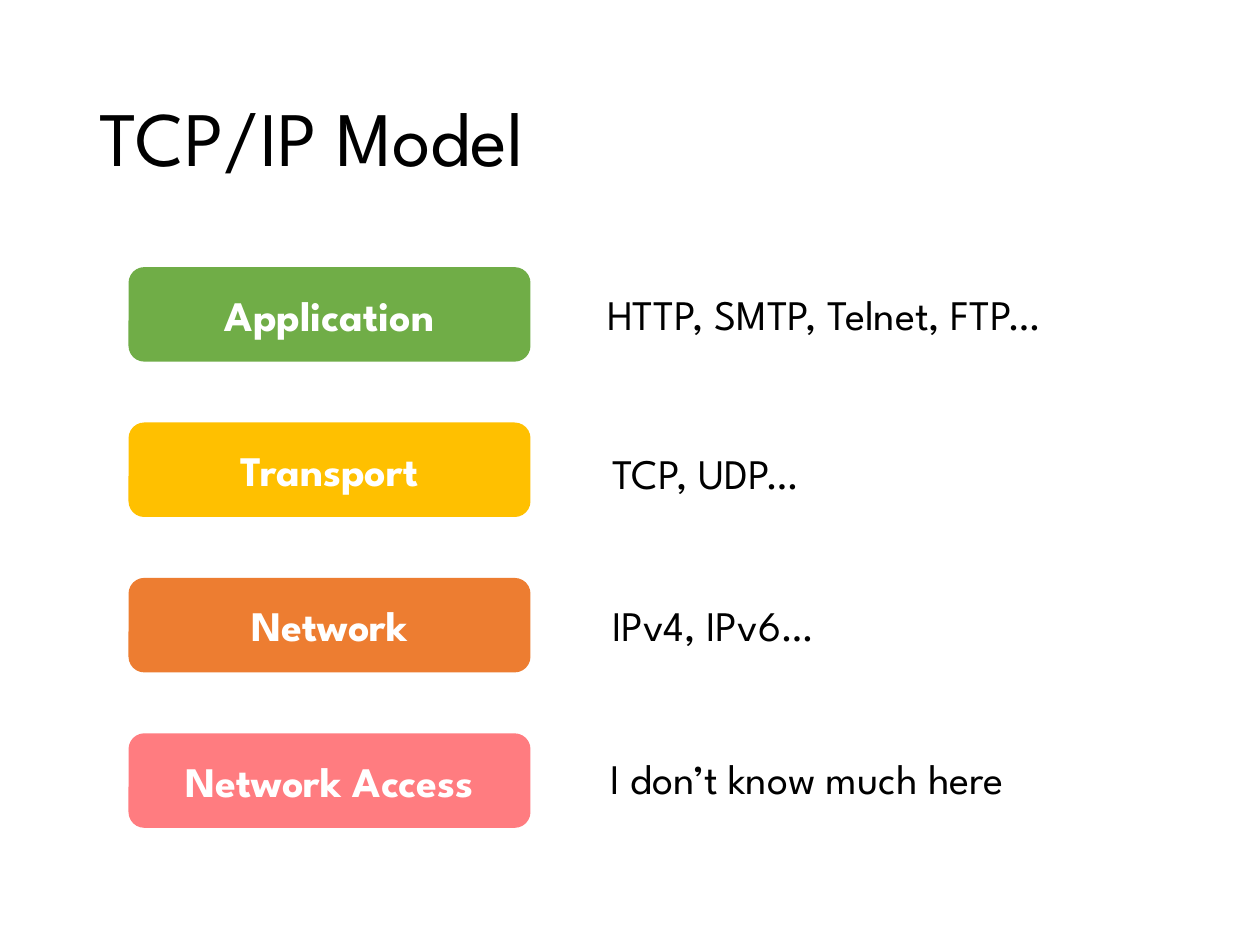
import pptx
import pptx.util
import pptx.dml.color
import pptx.enum.shapes
import pptx.enum.text

Inches = pptx.util.Inches
Pt = pptx.util.Pt
MIDDLE = pptx.enum.text.MSO_ANCHOR.MIDDLE
ALIGN = pptx.enum.text.PP_ALIGN
FONT = "League Spartan"
COLORS = {
    "text": "000000",
    "label": "FFFFFF",
    "application": "70AD47",
    "transport": "FFC000",
    "network": "ED7D31",
    "access": "FF7C80",
}


def rgb(name):
    return pptx.dml.color.RGBColor.from_string(COLORS[name])


def write(tf, text, size, color, align, bold=False):
    tf.vertical_anchor = MIDDLE
    p = tf.paragraphs[0]
    p.alignment = align
    r = p.add_run()
    r.text = text
    r.font.name = FONT
    r.font.size = Pt(size)
    r.font.bold = bold
    r.font.color.rgb = rgb(color)


prs = pptx.Presentation()
prs.slide_width = Inches(10)
prs.slide_height = Inches(7.5)
s = prs.slides.add_slide(prs.slide_layouts[5])

title = s.shapes.title
title.left, title.top = Inches(0.69), Inches(0.4)
title.width, title.height = Inches(8.62), Inches(1.45)
write(title.text_frame, "TCP/IP Model", 44, "text", ALIGN.LEFT)
title.text_frame.paragraphs[0].line_spacing = 0.9

layers = [
    ("Application", "application", "HTTP, SMTP, Telnet, FTP…", 4.72, 2.24, 4.11),
    ("Transport", "transport", "TCP, UDP…", 4.76, 3.5, 2.01),
    ("Network", "network", "IPv4, IPv6…", 4.76, 4.71, 2.02),
    ("Network Access", "access", "I don’t know much here", 4.75, 5.92, 4.1),
]
first_top = 2.12
pitch = 3.7 / 3

for i, (layer, color, protocols, left, top, width) in enumerate(layers):
    sp = s.shapes.add_shape(
        pptx.enum.shapes.MSO_SHAPE.ROUNDED_RECTANGLE,
        Inches(1.02), Inches(first_top + i * pitch), Inches(3.19), Inches(0.75))
    sp.shadow.inherit = False
    sp.fill.solid()
    sp.fill.fore_color.rgb = rgb(color)
    sp.line.fill.background()
    write(sp.text_frame, layer, 24, "label", ALIGN.CENTER, bold=True)

    tb = s.shapes.add_textbox(Inches(left), Inches(top), Inches(width), Inches(0.5))
    tf = tb.text_frame
    tf.word_wrap = False
    tf.auto_size = pptx.enum.text.MSO_AUTO_SIZE.SHAPE_TO_FIT_TEXT
    write(tf, protocols, 24, "text", ALIGN.LEFT)

prs.save("out.pptx")
